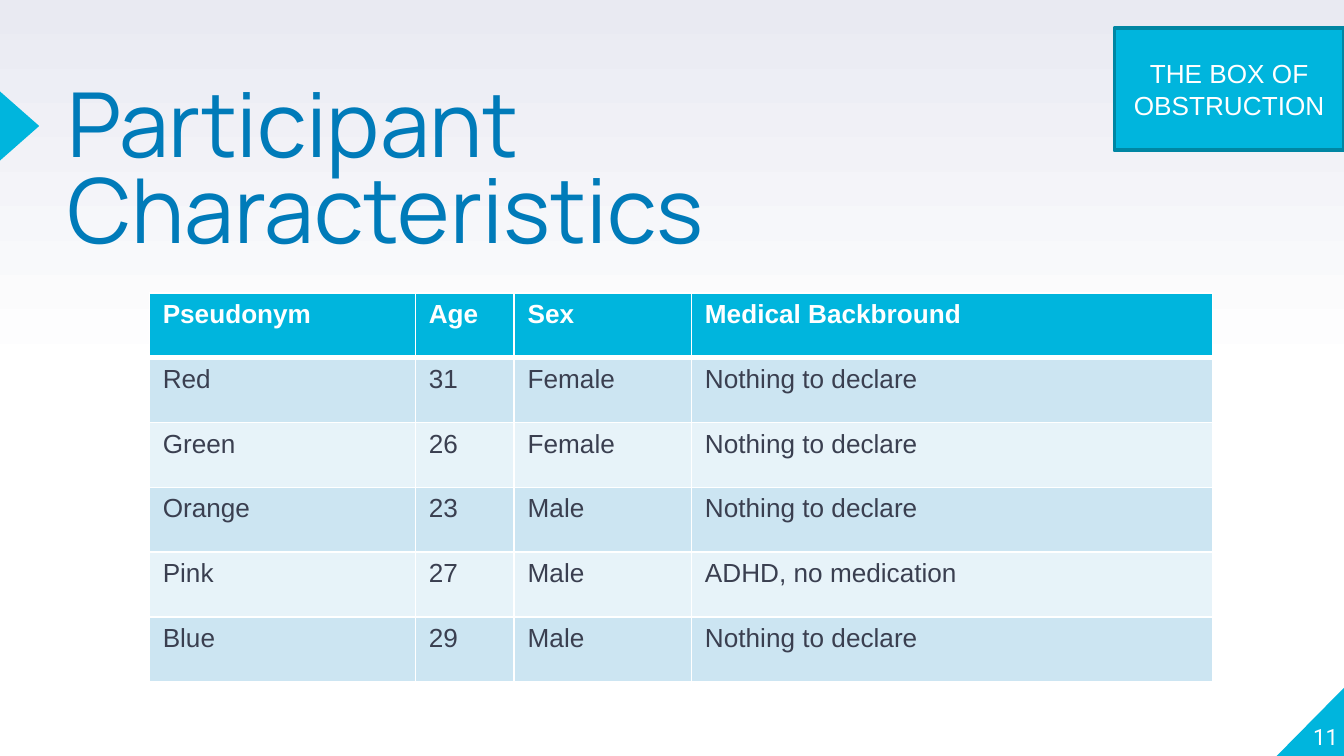
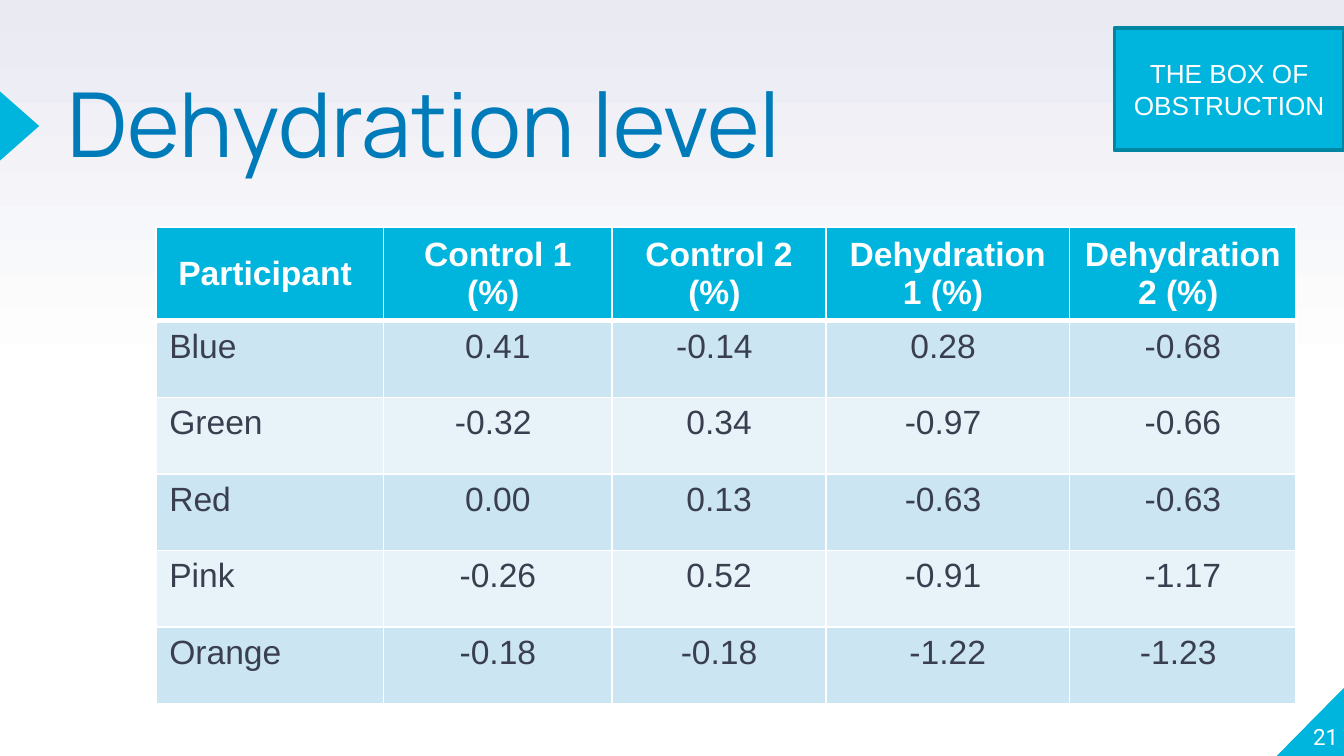
import copy
from dataclasses import dataclass

import pptx
import pptx.dml.color
import pptx.enum.shapes
import pptx.enum.text
import pptx.oxml.ns
import pptx.oxml.xmlchemy
import pptx.util
from lxml import etree

Pt = pptx.util.Pt
Align = pptx.enum.text.PP_ALIGN
Anchor = pptx.enum.text.MSO_ANCHOR
Kind = pptx.enum.shapes.MSO_SHAPE
qn = pptx.oxml.ns.qn


@dataclass(frozen=True)
class Theme:
    cyan: str = "00B5DD"
    edge: str = "0086A3"
    blue: str = "007BB9"
    ink: str = "3A3F50"
    white: str = "FFFFFF"
    haze: str = "E9EAF2"
    bands: tuple = ("CCE5F2", "E7F3F9")
    head: str = "Manrope"
    body: str = "Arial"
    foot: str = "Roboto"
    big: float = 48
    mid: float = 18
    base: float = 14
    small: float = 12


def color(code):
    return pptx.dml.color.RGBColor.from_string(code)


class Deck:
    """Build slides in one shared style."""

    def __init__(self, theme):
        self.theme = theme
        self.file = pptx.Presentation()
        self.file.slide_width, self.file.slide_height = Pt(720), Pt(405)
        self.slide = None

    def start(self, title, number):
        t = self.theme
        self.slide = self.file.slides.add_slide(self.file.slide_layouts[6])
        self.shade()
        corner = self.shape(Kind.RIGHT_TRIANGLE, (684, 368, 36.5, 37))
        corner._element.spPr.xfrm.set("flipH", "1")
        self.shape(Kind.ISOSCELES_TRIANGLE, (-8, 57, 37, 21)).rotation = 90
        frame = self.text(title, (36, 47.5, 444, 85), t.head, t.big, t.blue)
        frame.paragraphs[0].line_spacing = 0.8
        frame = self.text(number, (681, 365, 36, 37), t.foot, t.small, t.white, Align.RIGHT)
        frame.vertical_anchor = Anchor.BOTTOM

    def shade(self):
        t = self.theme
        fill = self.slide.background.fill
        fill.gradient()
        fill.gradient_angle = 90
        first = next(self.slide._element.iter(qn("a:gs")))
        first.addnext(copy.deepcopy(first))
        stops = zip(fill.gradient_stops, (0, 0.5, 1), (t.white, t.white, t.haze))
        for stop, place, code in stops:
            stop.position = place
            stop.color.rgb = color(code)

    def style(self, frame, font, size, code, align=None, bold=False):
        for para in frame.paragraphs:
            para.alignment = align
            for run in para.runs:
                run.font.name, run.font.size = font, Pt(size)
                run.font.bold = bold
                run.font.color.rgb = color(code)

    def text(self, words, area, font, size, code, align=None):
        frame = self.slide.shapes.add_textbox(*map(Pt, area)).text_frame
        frame.word_wrap = True
        frame.margin_left = frame.margin_right = 0
        frame.margin_top = frame.margin_bottom = 0
        frame.text = words
        self.style(frame, font, size, code, align)
        return frame

    def shape(self, kind, area, line=None):
        shape = self.slide.shapes.add_shape(kind, *map(Pt, area))
        shape.shadow.inherit = False
        shape.fill.solid()
        shape.fill.fore_color.rgb = color(self.theme.cyan)
        if line:
            shape.line.color.rgb = color(line)
            shape.line.width = Pt(2)
        else:
            shape.line.fill.background()
        return shape

    def badge(self, words):
        t = self.theme
        frame = self.shape(Kind.RECTANGLE, (597, 15, 123, 65.5), t.edge).text_frame
        frame.word_wrap = True
        frame.vertical_anchor = Anchor.MIDDLE
        frame.text = words
        self.style(frame, t.body, t.base, t.white, Align.CENTER)

    def border(self, cell, top, low):
        props = cell._tc.get_or_add_tcPr()
        sides = (("lnL", 1), ("lnR", 1), ("lnT", top), ("lnB", low))
        for spot, (side, width) in enumerate(sides):
            line = etree.Element(qn("a:" + side), w=str(Pt(width)))
            solid = etree.SubElement(line, qn("a:solidFill"))
            etree.SubElement(solid, qn("a:srgbClr"), val=self.theme.white)
            props.insert(spot, line)

    def table(self, rows, left, top, cols, heights, size, center=False):
        t = self.theme
        area = (left, top, sum(cols), sum(heights))
        table = self.slide.shapes.add_table(len(rows), len(cols), *map(Pt, area)).table
        for col, width in zip(table.columns, cols):
            col.width = Pt(width)
        for r, (row, height) in enumerate(zip(rows, heights)):
            table.rows[r].height = Pt(height)
            head = r == 0
            for c, words in enumerate(row):
                cell = table.cell(r, c)
                cell.text = words
                cell.fill.solid()
                cell.fill.fore_color.rgb = color(t.cyan if head else t.bands[(r - 1) % 2])
                self.border(cell, 3 if r == 1 else 1, 3 if head else 1)
                if head and center:
                    cell.vertical_anchor = Anchor.MIDDLE
                align = Align.CENTER if center and (head or c) else None
                self.style(cell.text_frame, t.body, size, t.white if head else t.ink, align, head)


PEOPLE = (
    ("Pseudonym", "Age", "Sex", "Medical Backbround"),
    ("Red", "31", "Female", "Nothing to declare "),
    ("Green", "26", "Female", "Nothing to declare "),
    ("Orange", "23", "Male", "Nothing to declare "),
    ("Pink", "27", "Male", "ADHD, no medication"),
    ("Blue", "29", "Male", "Nothing to declare "),
)
LEVELS = (
    ("Participant ", "Control 1 (%) ", "Control 2 (%) ", "Dehydration 1 (%) ", "Dehydration 2 (%) "),
    ("Blue ", "0.41", "-0.14 ", "0.28 ", "-0.68"),
    ("Green", "-0.32 ", "0.34", "-0.97 ", "-0.66"),
    ("Red ", "0.00", "0.13", "-0.63 ", "-0.63"),
    ("Pink ", "-0.26", "0.52", "-0.91 ", "-1.17"),
    ("Orange ", "-0.18", "-0.18", "-1.22", "-1.23 "),
)
BADGE = "THE BOX OF OBSTRUCTION"


def main():
    theme = Theme()
    deck = Deck(theme)
    deck.start("Participant Characteristics", "11")
    deck.table(PEOPLE, 80, 157, (142.5, 53, 95, 279), [34.7] * 6, theme.base)
    deck.badge(BADGE)
    deck.start("Dehydration level", "21")
    deck.table(LEVELS, 83.5, 121.5, (122, 122.5, 114.5, 130.5, 121.5), [37] + [41] * 5, theme.mid, True)
    deck.badge(BADGE)
    deck.file.save("out.pptx")


if __name__ == "__main__":
    main()
